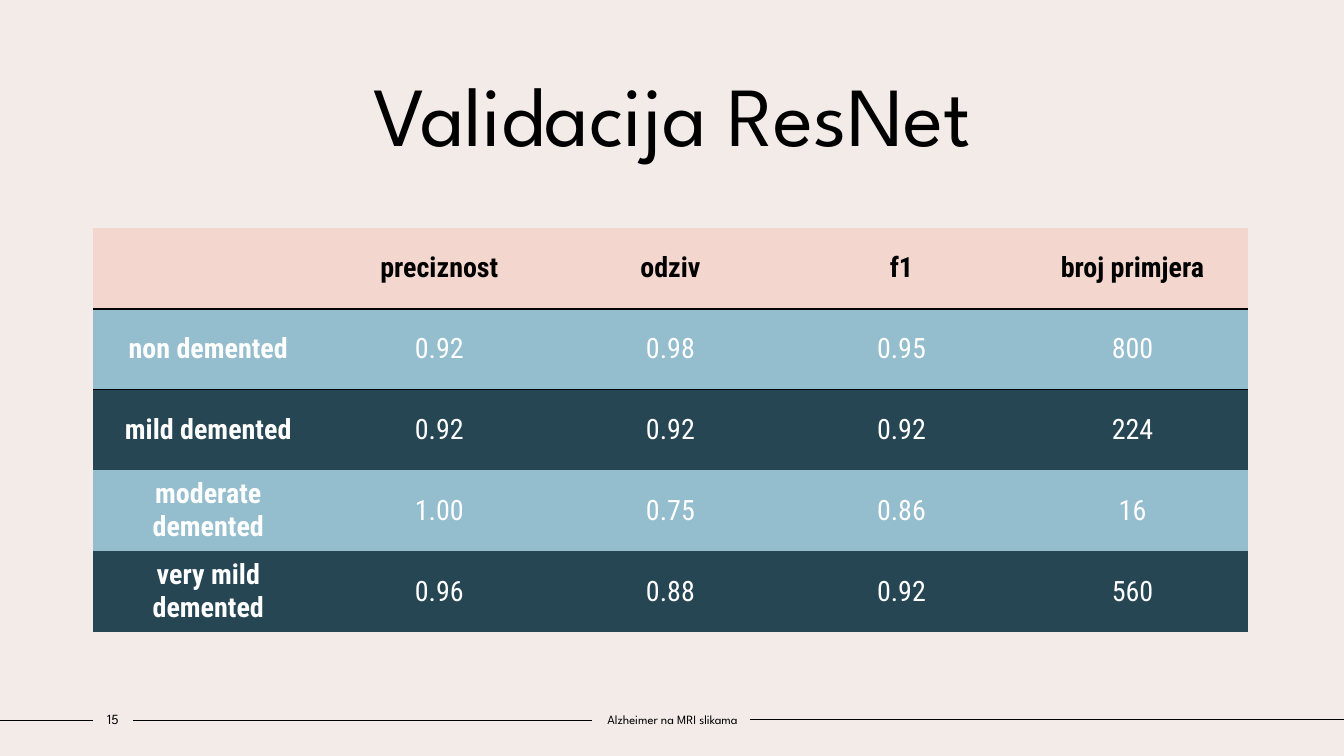
from lxml.etree import SubElement
from pptx import Presentation
from pptx.dml.color import RGBColor
from pptx.enum.shapes import MSO_CONNECTOR as Connector
from pptx.enum.text import MSO_ANCHOR as Anchor, PP_ALIGN as Align
from pptx.oxml import parse_xml
from pptx.oxml.ns import nsdecls, qn
from pptx.util import Inches, Pt

TITLE = "Validacija ResNet"
PAGE = "15"
FOOTER = "Alzheimer na MRI slikama"
SCORES = [
    ("", "preciznost", "odziv", "f1", "broj primjera"),
    ("non demented", "0.92", "0.98", "0.95", "800"),
    ("mild demented", "0.92", "0.92", "0.92", "224"),
    ("moderate demented", "1.00", "0.75", "0.86", "16"),
    ("very mild demented", "0.96", "0.88", "0.92", "560"),
]

BLACK = RGBColor(0, 0, 0)
WHITE = RGBColor(0xFF, 0xFF, 0xFF)
CREAM = RGBColor(0xF3, 0xEB, 0xE8)
PINK = RGBColor(0xF3, 0xD6, 0xCD)
BANDS = [RGBColor(0x94, 0xBD, 0xCE), RGBColor(0x26, 0x46, 0x53)]
HEADING_FONT = "League Spartan"
TABLE_FONT = "Roboto Condensed"
NO_GRID_STYLE = "{2D5ABB26-0587-4C30-8999-92F81FD0307C}"

WIDTH, HEIGHT = 13.33, 7.5
MARGIN = 0.92
TABLE_TOP, COLUMN, ROW = 2.26, 2.292, 0.802
FOOTER_TOP, FOOTER_HEIGHT = 7, 0.27
PAGE_WIDTH, FOOTER_LEFT, FOOTER_WIDTH = 0.4, 5.87, 1.6
RULES = [
    (0, MARGIN, 7.15),
    (MARGIN + PAGE_WIDTH, FOOTER_LEFT, 7.15),
    (7.44, WIDTH, 7.14),
]


def write(frame, text, size, font=HEADING_FONT, color=BLACK, bold=False):
    paragraph = frame.paragraphs[0]
    paragraph.alignment = Align.CENTER
    run = paragraph.add_run()
    run.text = text
    run.font.size = Pt(size)
    run.font.name = font
    run.font.color.rgb = color
    run.font.bold = bold


def add_label(slide, box, text, size, anchor, side=0.0):
    frame = slide.shapes.add_textbox(*map(Inches, box)).text_frame
    frame.word_wrap = True
    frame.vertical_anchor = anchor
    frame.margin_left = frame.margin_right = Inches(side)
    write(frame, text, size)


def add_rule(slide, start, end, y):
    rule = slide.shapes.add_connector(
        Connector.STRAIGHT, Inches(start), Inches(y), Inches(end), Inches(y))
    rule.line.color.rgb = BLACK
    rule.line.width = Pt(1)
    SubElement(rule._element.spPr, qn("a:effectLst"))


def add_border(cell, edge):
    cell._tc.get_or_add_tcPr().insert(0, parse_xml(
        f'<a:{edge} {nsdecls("a")} w="{Pt(1.5)}"><a:solidFill>'
        f'<a:srgbClr val="{BLACK}"/></a:solidFill></a:{edge}>'))


def add_scores(slide):
    rows, columns = len(SCORES), len(SCORES[0])
    table = slide.shapes.add_table(
        rows, columns, Inches(MARGIN), Inches(TABLE_TOP),
        Inches(COLUMN * columns), Inches(ROW * rows)).table
    table.horz_banding = False
    table._tbl.tblPr.find(qn("a:tableStyleId")).text = NO_GRID_STYLE
    for r, values in enumerate(SCORES):
        header = r == 0
        for c, value in enumerate(values):
            cell = table.cell(r, c)
            cell.vertical_anchor = Anchor.MIDDLE
            cell.fill.solid()
            cell.fill.fore_color.rgb = PINK if header else BANDS[(r - 1) % 2]
            if r < 2:
                add_border(cell, "lnB" if header else "lnT")
            if value:
                write(cell.text_frame, value, 20, font=TABLE_FONT,
                      color=BLACK if header else WHITE, bold=header or c == 0)


def main():
    deck = Presentation()
    deck.slide_width, deck.slide_height = Inches(WIDTH), Inches(HEIGHT)
    slide = deck.slides.add_slide(deck.slide_layouts[6])
    slide.background.fill.solid()
    slide.background.fill.fore_color.rgb = CREAM
    for rule in RULES:
        add_rule(slide, *rule)
    add_label(slide, (1.25, 0.56, 10.84, 1.11), TITLE, 60, Anchor.BOTTOM, side=0.1)
    add_scores(slide)
    add_label(slide, (MARGIN, FOOTER_TOP, PAGE_WIDTH, FOOTER_HEIGHT),
              PAGE, 10, Anchor.MIDDLE)
    add_label(slide, (FOOTER_LEFT, FOOTER_TOP, FOOTER_WIDTH, FOOTER_HEIGHT),
              FOOTER, 9, Anchor.MIDDLE)
    deck.save("out.pptx")


if __name__ == "__main__":
    main()
